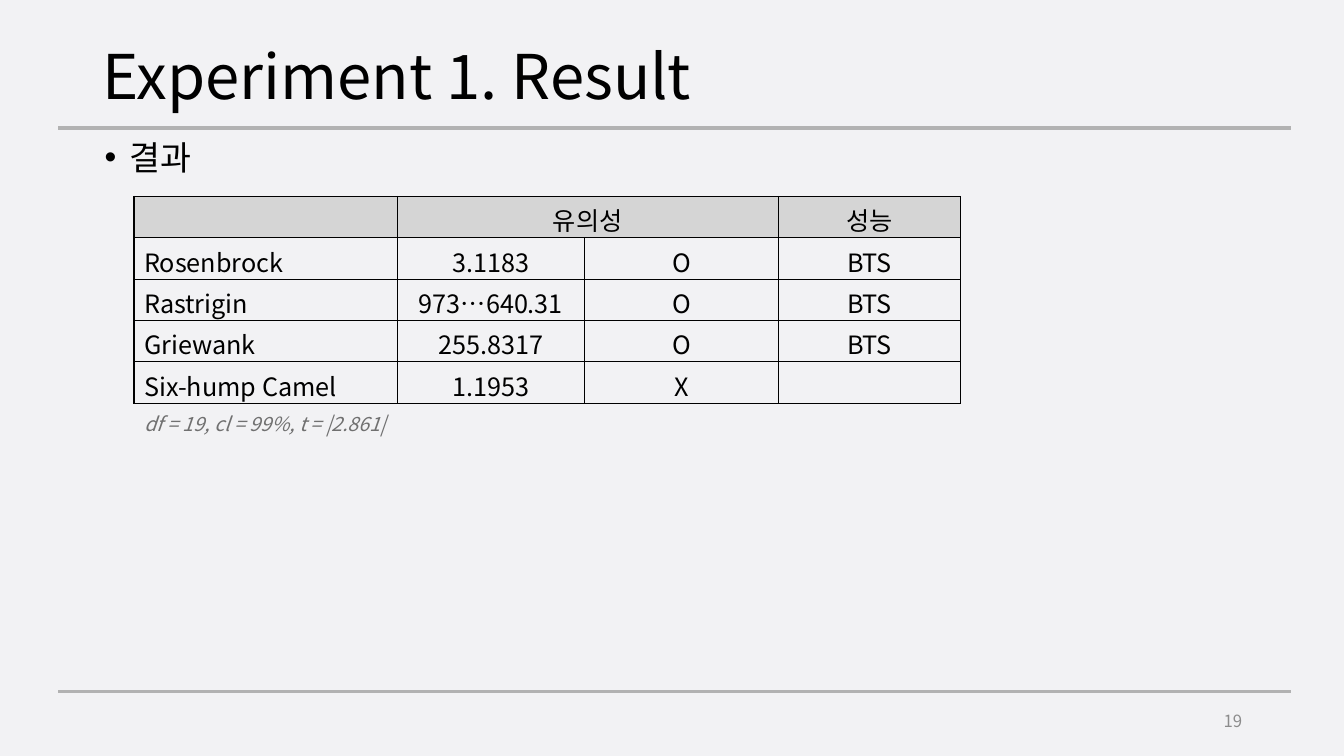
from lxml import etree
from pptx import Presentation
from pptx.dml.color import RGBColor
from pptx.enum.shapes import MSO_CONNECTOR
from pptx.enum.text import MSO_ANCHOR, PP_ALIGN
from pptx.oxml.ns import qn
from pptx.util import Inches, Pt

STRAIGHT = MSO_CONNECTOR.STRAIGHT
TOP, MIDDLE = MSO_ANCHOR.TOP, MSO_ANCHOR.MIDDLE
LEFT, CENTER, RIGHT = PP_ALIGN.LEFT, PP_ALIGN.CENTER, PP_ALIGN.RIGHT

FONT = "Noto Sans CJK KR"
BLACK, GRAY, HEADER_FILL = "000000", "707070", "D5D5D5"
ALL_SIDES = "LRTB"
COLUMN_WIDTHS = [2.61, 1.86, 1.92, 1.57, 0.23]
ROW_HEIGHT = 0.41
RESULTS = [
    ["", "유의성", "", "성능"],
    ["Rosenbrock", "3.1183", "O", "BTS"],
    ["Rastrigin", "973…640.31", "O", "BTS"],
    ["Griewank", "255.8317", "O", "BTS"],
    ["Six-hump Camel", "1.1953", "X", ""],
]
NOTE = "df = 19, cl = 99%, t = |2.861|"


def color(value):
    return RGBColor.from_string(value)


def write_text(frame, text, size=18, text_color=BLACK, align=LEFT, italic=False,
               line_spacing=None, bullet=None):
    paragraph = frame.paragraphs[0]
    paragraph.alignment = align
    if line_spacing:
        paragraph.line_spacing = line_spacing
    if bullet:
        properties = paragraph._p.get_or_add_pPr()
        properties.set("marL", str(Inches(0.25)))
        properties.set("indent", str(Inches(-0.25)))
        etree.SubElement(properties, qn("a:buFont"), typeface="Arial")
        etree.SubElement(properties, qn("a:buChar"), char=bullet)
    run = paragraph.add_run()
    run.text = text
    run.font.size = Pt(size)
    run.font.italic = italic
    run.font.name = FONT
    run.font.color.rgb = color(text_color)
    etree.SubElement(run._r.get_or_add_rPr(), qn("a:ea"), typeface=FONT)


def add_text(slide, left, top, width, height, text, anchor=TOP, **text_format):
    shape = slide.shapes.add_textbox(
        Inches(left), Inches(top), Inches(width), Inches(height))
    frame = shape.text_frame
    frame.word_wrap = True
    frame.vertical_anchor = anchor
    write_text(frame, text, **text_format)


def add_rule(slide, top):
    line = slide.shapes.add_connector(
        STRAIGHT, Inches(0.58), Inches(top), Inches(12.8), Inches(top))
    line.line.color.rgb = color("B2B2B2")
    line.line.width = Pt(2.25)
    etree.SubElement(line._element.spPr, qn("a:effectLst"))


def style_cell(cell, sides, fill=None):
    properties = cell._tc.get_or_add_tcPr()
    for side in ALL_SIDES:
        border = etree.SubElement(properties, qn(f"a:ln{side}"), w=str(Pt(1)))
        if side in sides:
            solid = etree.SubElement(border, qn("a:solidFill"))
            etree.SubElement(solid, qn("a:srgbClr"), val=BLACK)
        else:
            etree.SubElement(border, qn("a:noFill"))
    if fill:
        cell.fill.solid()
        cell.fill.fore_color.rgb = color(fill)
    else:
        cell.fill.background()


def add_result_table(slide):
    note_row = len(RESULTS)
    last_column = len(COLUMN_WIDTHS) - 1
    table = slide.shapes.add_table(
        note_row + 1, len(COLUMN_WIDTHS), Inches(1.33), Inches(1.95),
        Inches(sum(COLUMN_WIDTHS)), Inches(ROW_HEIGHT * (note_row + 1))).table
    table.first_row = False
    table.horz_banding = False
    for column, width in zip(table.columns, COLUMN_WIDTHS):
        column.width = Inches(width)
    for row_index, row in enumerate(table.rows):
        row.height = Inches(ROW_HEIGHT)
        for cell in row.cells:
            style_cell(cell, "T" if row_index == note_row else ALL_SIDES,
                       HEADER_FILL if row_index == 0 else None)
    for row_index, values in enumerate(RESULTS):
        for column_index, text in enumerate(values):
            if text:
                write_text(table.cell(row_index, column_index).text_frame, text,
                           align=CENTER if column_index else LEFT)
        table.cell(row_index, last_column - 1).merge(
            table.cell(row_index, last_column))
    table.cell(0, 1).merge(table.cell(0, 2))
    table.cell(note_row, 0).merge(table.cell(note_row, last_column - 1))
    write_text(table.cell(note_row, 0).text_frame, NOTE,
               size=14, text_color=GRAY, italic=True)


def main():
    presentation = Presentation()
    presentation.slide_width = Inches(13.33)
    presentation.slide_height = Inches(7.5)
    slide = presentation.slides.add_slide(presentation.slide_layouts[6])
    slide.background.fill.solid()
    slide.background.fill.fore_color.rgb = color("F2F2F4")
    for top in (1.27, 6.86):
        add_rule(slide, top)
    add_text(slide, 0.92, 0.4, 11.52, 0.78, "Experiment 1. Result",
             anchor=MIDDLE, size=44, line_spacing=0.9)
    add_text(slide, 0.94, 1.35, 11.5, 5.4, "결과",
             size=24, line_spacing=0.9, bullet="•")
    add_result_table(slide)
    add_text(slide, 9.42, 6.95, 3, 0.4, "19",
             anchor=MIDDLE, size=12, text_color="8C8C8C", align=RIGHT)
    presentation.save("out.pptx")


if __name__ == "__main__":
    main()
